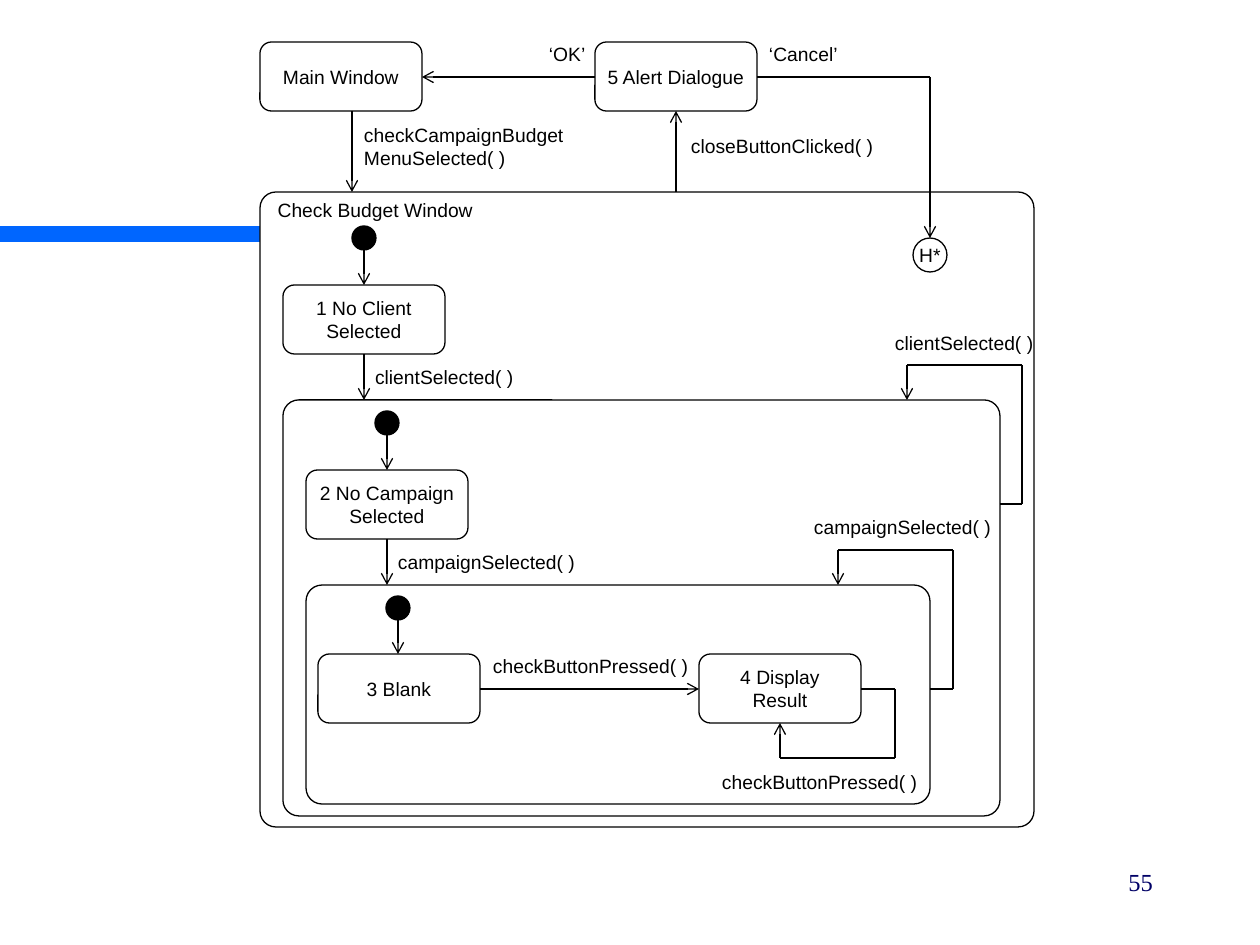
"""Draw the state chart of the Check Budget window."""
from pptx import Presentation
from pptx.dml.color import RGBColor
from pptx.enum.shapes import MSO_CONNECTOR, MSO_SHAPE
from pptx.enum.text import MSO_ANCHOR, PP_ALIGN
from pptx.oxml.ns import qn
from pptx.util import Pt
from lxml import etree

RECT, ROUND, OVAL = MSO_SHAPE.RECTANGLE, MSO_SHAPE.ROUNDED_RECTANGLE, MSO_SHAPE.OVAL
LEFT, MID, RIGHT = PP_ALIGN.LEFT, PP_ALIGN.CENTER, PP_ALIGN.RIGHT
LINE = MSO_CONNECTOR.STRAIGHT
TOP, CENTRE = MSO_ANCHOR.TOP, MSO_ANCHOR.MIDDLE
PX = 914400 / 126
BLACK, WHITE, BLUE, NAVY = "000000", "FFFFFF", "0066FF", "000066"

deck = Presentation()
deck.slide_width, deck.slide_height = round(1260 * PX), round(945 * PX)
slide = deck.slides.add_slide(deck.slide_layouts[6])
shapes = slide.shapes


def draw(kind, box, fill, edge=BLACK):
    """Add a filled shape, with a thin edge if one is given."""
    shape = shapes.add_shape(kind, *[round(n * PX) for n in box])
    shape.shadow.inherit = False
    shape.fill.solid()
    shape.fill.fore_color.rgb = RGBColor.from_string(fill)
    if edge:
        shape.line.color.rgb = RGBColor.from_string(edge)
        shape.line.width = Pt(0.75)
    else:
        shape.line.fill.background()
    return shape


def write(shape, text, align, anchor, pad, wrap=False, size=11, font="Arial", hue=BLACK):
    """Put one paragraph per line of text into a shape."""
    frame = shape.text_frame
    frame.word_wrap, frame.vertical_anchor = wrap, anchor
    frame.margin_left = frame.margin_right = round(pad[0] * PX)
    frame.margin_top = frame.margin_bottom = round(pad[1] * PX)
    for i, words in enumerate(text.split("\n")):
        para = frame.add_paragraph() if i else frame.paragraphs[0]
        para.alignment = align
        run = para.add_run()
        run.text = words
        run.font.size, run.font.name = Pt(size), font
        run.font.color.rgb = RGBColor.from_string(hue)


draw(RECT, (0, 226, 461, 16), BLUE, None)

frames = [
    (260, 192, 774, 635, "Check Budget Window"),
    (283, 400, 717, 416, ""),
    (306, 585, 624, 219, ""),
]
for x, y, w, h, name in frames:
    shape = draw(ROUND, (x, y, w, h), WHITE)
    shape.adjustments[0] = round(16 / h, 3)
    if name:
        write(shape, name, LEFT, TOP, (13, 2), wrap=True)

states = [
    (260, 42, "Main Window"),
    (595, 42, "5 Alert Dialogue"),
    (283, 285, "1 No Client\nSelected"),
    (306, 470, "2 No Campaign\nSelected"),
    (318, 654, "3 Blank"),
    (699, 654, "4 Display\nResult"),
]
for x, y, name in states:
    shape = draw(ROUND, (x, y, 162, 69), WHITE)
    write(shape, name, MID, CENTRE, (13, 6))

for x, y in [(364, 238), (387, 423), (398, 608)]:
    draw(OVAL, (x - 12, y - 12, 24, 24), BLACK)
past = draw(OVAL, (913, 238, 34, 34), WHITE)
write(past, "H*", MID, CENTRE, (13, 6))

routes = [
    [(352, 111), (352, 192)],
    [(595, 77), (422, 77)],
    [(676, 192), (676, 111)],
    [(757, 77), (930, 77), (930, 238)],
    [(364, 250), (364, 285)],
    [(364, 354), (364, 400)],
    [(387, 435), (387, 470)],
    [(387, 539), (387, 585)],
    [(398, 620), (398, 654)],
    [(480, 689), (699, 689)],
    [(1000, 504), (1022, 504), (1022, 365), (907, 365), (907, 400)],
    [(930, 689), (953, 689), (953, 550), (838, 550), (838, 585)],
    [(861, 689), (895, 689), (895, 758), (780, 758), (780, 723)],
]
for route in routes:
    for start, end in zip(route, route[1:]):
        line = shapes.add_connector(LINE, *[round(n * PX) for n in start + end])
        line.line.color.rgb = RGBColor.from_string(BLACK)
        line.line.width = Pt(0.75)
        props = line._element.spPr
        if end == route[-1]:
            etree.SubElement(props.find(qn("a:ln")), qn("a:tailEnd"), type="arrow")
        etree.SubElement(props, qn("a:effectLst"))

labels = [
    (549, 42, 40, 23, "‘OK’"),
    (769, 42, 72, 23, "‘Cancel’"),
    (364, 123, 204, 47, "checkCampaignBudget\nMenuSelected( )"),
    (691, 134, 188, 23, "closeButtonClicked( )"),
    (375, 365, 144, 23, "clientSelected( )"),
    (895, 331, 144, 23, "clientSelected( )"),
    (398, 550, 183, 23, "campaignSelected( )"),
    (814, 515, 183, 23, "campaignSelected( )"),
    (493, 654, 202, 23, "checkButtonPressed( )"),
    (722, 770, 202, 23, "checkButtonPressed( )"),
]
for *box, words in labels:
    label = shapes.add_textbox(*[round(n * PX) for n in box])
    write(label, words, LEFT, TOP, (0, 0), wrap=True)

page = shapes.add_textbox(*[round(n * PX) for n in (904, 861, 262, 63)])
write(page, "55", RIGHT, TOP, (13, 6), True, 14, "Times New Roman", NAVY)

deck.save("out.pptx")
